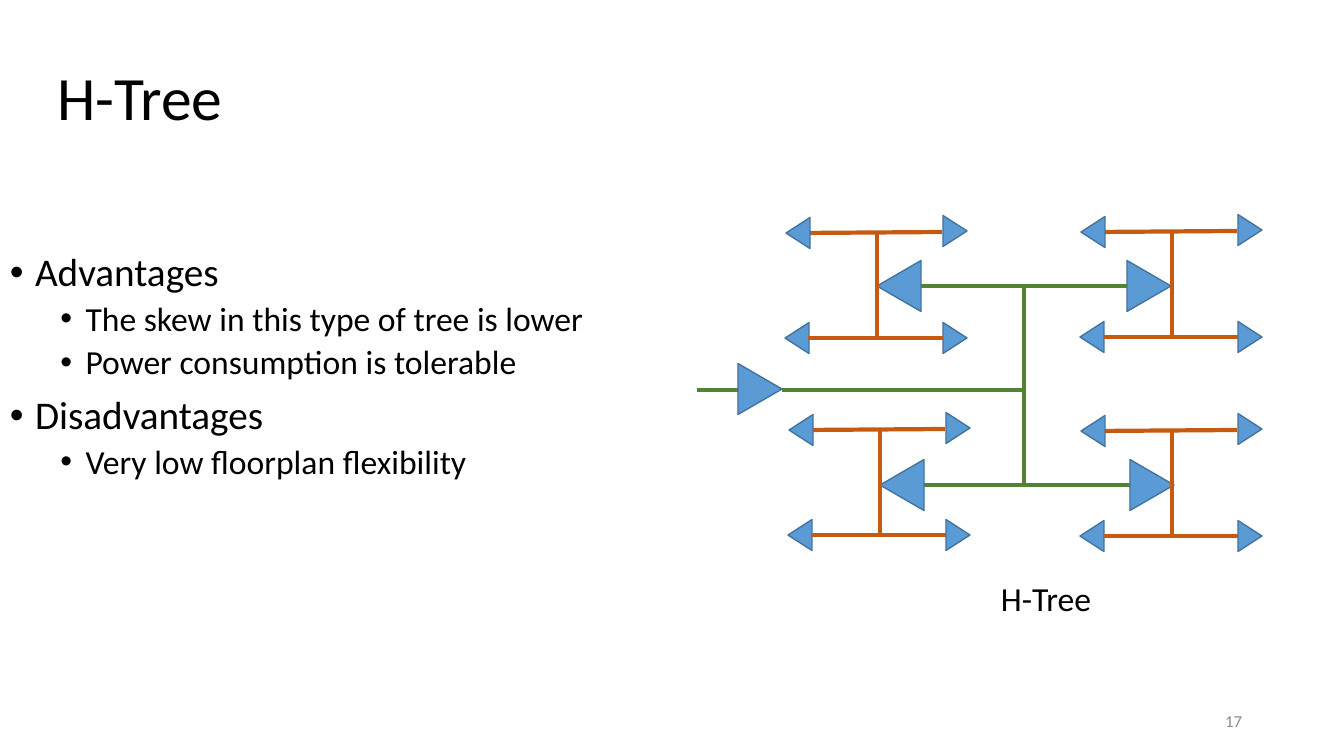
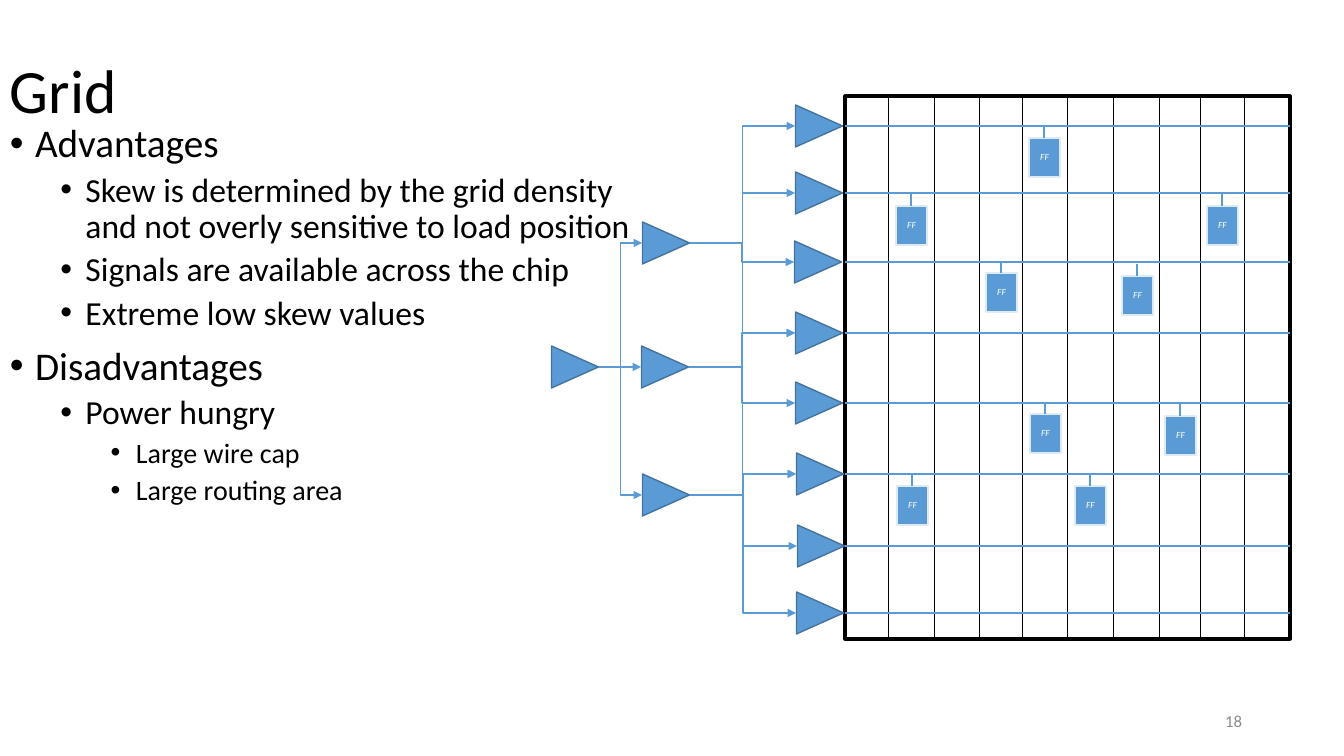
from lxml import etree
from pptx import Presentation
from pptx.dml.color import RGBColor
from pptx.enum.shapes import MSO_CONNECTOR, MSO_SHAPE
from pptx.enum.text import MSO_ANCHOR, PP_ALIGN
from pptx.oxml.ns import qn
from pptx.util import Emu, Inches, Pt

STRAIGHT, ELBOW = MSO_CONNECTOR.STRAIGHT, MSO_CONNECTOR.ELBOW
TRIANGLE, RECTANGLE = MSO_SHAPE.ISOSCELES_TRIANGLE, MSO_SHAPE.RECTANGLE
LEFT, CENTER, RIGHT = PP_ALIGN.LEFT, PP_ALIGN.CENTER, PP_ALIGN.RIGHT
TOP, MIDDLE = MSO_ANCHOR.TOP, MSO_ANCHOR.MIDDLE

PX_PER_INCH = 100.8
BLACK, WHITE, GRAY = "000000", "FFFFFF", "8C8C8C"
BLUE, DARK_BLUE, PALE_BLUE = "5B9BD5", "43739E", "DEEBF7"
GREEN, ORANGE = "548235", "C55A11"
POINT_RIGHT, POINT_LEFT = 90, 270


def px(length):
    return Emu(round(length * 914400 / PX_PER_INCH))


def color(hex_string):
    return RGBColor.from_string(hex_string)


class Deck:
    """Holds the shared style and the slide being drawn."""

    font = "Calibri"
    title_size = 44
    # Per bullet level: text size, left indent in inches, space before
    levels = [(28, 0.25, 10), (24, 0.75, 5), (20, 1.25, 5)]

    def __init__(self):
        self.presentation = Presentation()
        self.presentation.slide_width = px(1344)
        self.presentation.slide_height = px(756)
        self.slide = None

    def new_slide(self, number):
        layout = self.presentation.slide_layouts[6]
        self.slide = self.presentation.slides.add_slide(layout)
        self.text(number, 950, 701, 302, 40, 12, GRAY, RIGHT, MIDDLE)

    def add_run(self, paragraph, text, size, text_color=BLACK, font=None, italic=None):
        run = paragraph.add_run()
        run.text = text
        run.font.name = font or self.font
        run.font.size = Pt(size)
        run.font.italic = italic
        run.font.color.rgb = color(text_color)

    def text_frame(self, left, top, width, height, anchor=TOP):
        box = self.slide.shapes.add_textbox(px(left), px(top), px(width), px(height))
        box.text_frame.word_wrap = True
        box.text_frame.vertical_anchor = anchor
        return box.text_frame

    def text(self, text, left, top, width, height, size,
             text_color=BLACK, align=LEFT, anchor=TOP):
        frame = self.text_frame(left, top, width, height, anchor)
        paragraph = frame.paragraphs[0]
        paragraph.alignment = align
        self.add_run(paragraph, text, size, text_color)
        return paragraph

    def title(self, text, top, width, align=LEFT):
        paragraph = self.text(text, 0, top, width, 118, self.title_size,
                              align=align, anchor=MIDDLE)
        paragraph.line_spacing = 0.9

    def bullets(self, items, top, width, height):
        """Write (level, text) items as a bulleted list at the left edge."""
        frame = self.text_frame(0, top, width, height)
        for index, (level, text) in enumerate(items):
            size, indent, space_before = self.levels[level]
            paragraph = frame.add_paragraph() if index else frame.paragraphs[0]
            paragraph.level = level
            paragraph.line_spacing = 0.9
            paragraph.space_before = Pt(space_before)
            properties = paragraph._p.get_or_add_pPr()
            properties.set("marL", str(Inches(indent)))
            properties.set("indent", str(-Inches(0.25)))
            etree.SubElement(properties, qn("a:buFont"), typeface="Arial")
            etree.SubElement(properties, qn("a:buChar"), char="•")
            self.add_run(paragraph, text, size)

    def shape(self, kind, left, top, width, height, fill, line, line_width):
        shape = self.slide.shapes.add_shape(
            kind, px(left), px(top), px(width), px(height))
        shape.shadow.inherit = False
        if fill:
            shape.fill.solid()
            shape.fill.fore_color.rgb = color(fill)
        else:
            shape.fill.background()
        shape.line.color.rgb = color(line)
        shape.line.width = Pt(line_width)
        return shape

    def buffer(self, center_x, center_y, length, span, rotation=POINT_RIGHT):
        """Draw a sideways triangle, length along its direction, span across it."""
        triangle = self.shape(TRIANGLE, center_x - span / 2, center_y - length / 2,
                              span, length, BLUE, DARK_BLUE, 1)
        triangle.rotation = rotation

    def line(self, start, end, line_color, width, kind=STRAIGHT, arrow=False):
        connector = self.slide.shapes.add_connector(
            kind, *(px(length) for length in (*start, *end)))
        connector.line.color.rgb = color(line_color)
        connector.line.width = Pt(width)
        properties = connector.element.spPr
        if arrow:
            outline = properties.find(qn("a:ln"))
            etree.SubElement(outline, qn("a:tailEnd"), type="triangle")
        etree.SubElement(properties, qn("a:effectLst"))

    def arrow(self, start, end):
        kind = STRAIGHT if start[1] == end[1] else ELBOW
        self.line(start, end, BLUE, 1.25, kind, arrow=True)

    def flip_flop(self, left, top):
        box = self.shape(RECTANGLE, left, top, 31, 39, BLUE, PALE_BLUE, 1.25)
        frame = box.text_frame
        frame.margin_left = frame.margin_right = 0
        frame.vertical_anchor = MIDDLE
        paragraph = frame.paragraphs[0]
        paragraph.alignment = CENTER
        self.add_run(paragraph, "FF", 6, WHITE, "Lato", True)
        self.line((left + 15, top), (left + 15, top - 12), BLUE, 1.25)


def draw_leaf_cluster(deck, x, y):
    """Draw one small H whose upright starts at x, y."""
    bottom = y + 105

    def leaf(offset, center_y, rotation):
        deck.buffer(x + offset, center_y, 24, 31, rotation)

    leaf(78, y - 2, POINT_RIGHT)
    deck.line((x - 75, y), (x + 65, y - 1), ORANGE, 3)
    leaf(-79, y, POINT_LEFT)
    leaf(78, bottom, POINT_RIGHT)
    leaf(-80, bottom, POINT_LEFT)
    deck.line((x, y), (x, bottom), ORANGE, 3)
    deck.line((x - 69, bottom), (x + 66, bottom), ORANGE, 3)


def draw_h_tree(deck):
    deck.new_slide("17")
    deck.title("H-Tree", 42, 280, CENTER)
    deck.bullets([
        (0, "Advantages"),
        (1, "The skew in this type of tree is lower"),
        (1, "Power consumption is tolerable"),
        (0, "Disadvantages"),
        (1, "Very low floorplan flexibility"),
    ], 248, 710, 249)

    trunk_x, root_y, upper_y, lower_y = 1024, 390, 286, 485
    for left, right, y in [(899, 1149, upper_y), (902, 1152, lower_y)]:
        deck.buffer(right, y, 44, 51)
        deck.line((left + 22, y), (right - 22, y), GREEN, 3)
        deck.buffer(left, y, 44, 51, POINT_LEFT)
    deck.line((trunk_x, upper_y), (trunk_x, lower_y), GREEN, 3)

    for x, y in [(877, 233), (1172, 232), (880, 430), (1172, 431)]:
        draw_leaf_cluster(deck, x, y)

    deck.buffer(760, root_y - 1, 44, 51)
    for start, end in [(782, trunk_x), (697, 738)]:
        deck.line((start, root_y), (end, root_y), GREEN, 3)
    deck.text("H-Tree", 991, 573, 318, 50, 24)


def draw_grid(deck):
    deck.new_slide("18")
    deck.title("Grid", 35, 1210)
    deck.bullets([
        (0, "Advantages"),
        (1, "Skew is determined by the grid density and not overly sensitive "
            "to load position"),
        (1, "Signals are available across the chip"),
        (1, "Extreme low skew values"),
        (0, "Disadvantages"),
        (1, "Power hungry"),
        (2, "Large wire cap"),
        (2, "Large routing area"),
    ], 119, 654, 554)

    left, top, width, height = 845, 96, 445, 543
    deck.shape(RECTANGLE, left, top, width, height, None, BLACK, 2.25)
    for x in [888, 934, 979, 1022, 1067, 1113, 1159, 1200, 1244]:
        deck.line((x, top), (x, top + height), BLACK, 0.5)

    row_buffers = [(819, 126), (819, 193), (818, 262), (819, 333),
                   (819, 403), (820, 474), (821, 546), (820, 613)]
    for _, y in row_buffers:
        deck.line((left, y), (left + width, y), BLUE, 1.25)

    root = (575, 367)
    drivers = [(666, 243), (665, 367), (666, 495)]
    for x, y in row_buffers + [root] + drivers:
        deck.buffer(x, y, 47, 42)

    driven_rows = [row_buffers[0:4], row_buffers[3:6], row_buffers[5:8]]
    for source, targets in [*zip(drivers, driven_rows), (root, drivers)]:
        for x, y in targets:
            deck.arrow((source[0] + 24, source[1]), (x - 24, y))

    for x, y in [(1030, 414), (1122, 276), (896, 206), (1165, 416), (986, 273),
                 (897, 486), (1075, 486), (1029, 138), (1207, 206)]:
        deck.flip_flop(x, y)


def main():
    deck = Deck()
    draw_h_tree(deck)
    draw_grid(deck)
    deck.presentation.save("out.pptx")


if __name__ == "__main__":
    main()
